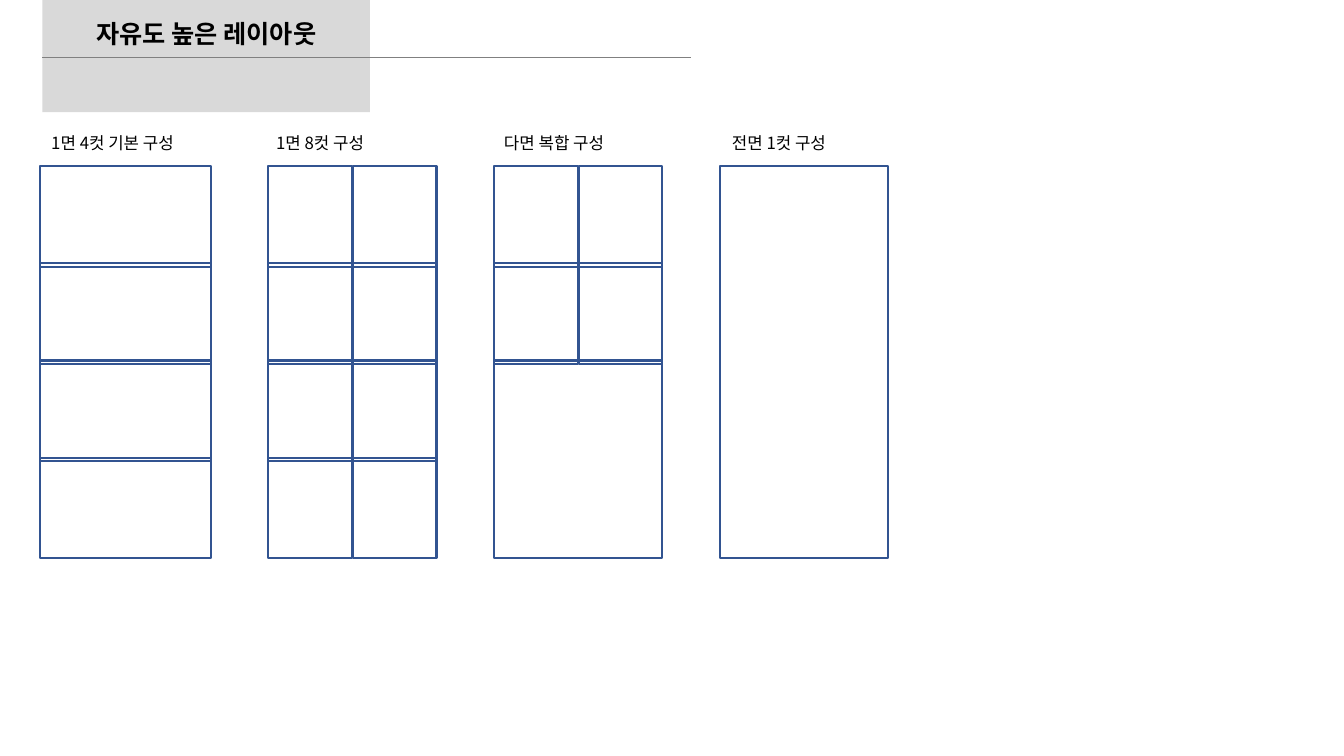
from dataclasses import dataclass

from lxml import etree
from pptx import Presentation
from pptx.dml.color import RGBColor
from pptx.enum.shapes import MSO_CONNECTOR, MSO_SHAPE
from pptx.enum.text import MSO_ANCHOR, MSO_AUTO_SIZE, PP_ALIGN
from pptx.oxml.ns import qn
from pptx.util import Inches, Pt

RECTANGLE = MSO_SHAPE.RECTANGLE
STRAIGHT = MSO_CONNECTOR.STRAIGHT
MIDDLE = MSO_ANCHOR.MIDDLE
GROW = MSO_AUTO_SIZE.SHAPE_TO_FIT_TEXT
CENTER, LEFT = PP_ALIGN.CENTER, PP_ALIGN.LEFT


@dataclass(frozen=True)
class Theme:
    font: str = "Noto Sans CJK KR"
    text: RGBColor = RGBColor(0x00, 0x00, 0x00)
    band: RGBColor = RGBColor(0xD9, 0xD9, 0xD9)
    rule: RGBColor = RGBColor(0x80, 0x80, 0x80)
    frame: RGBColor = RGBColor(0x32, 0x54, 0x91)
    title_size: int = 18
    label_size: int = 12
    rule_width: float = 0.5
    frame_width: float = 1.5


THEME = Theme()
TITLE = "자유도 높은 레이아웃"

# Panels are (column, row, columns spanned, rows spanned).
LAYOUTS = [
    {"label": "1면 4컷 기본 구성", "label_left": 0.41, "left": 0.4, "width": 1.69,
     "panels": [(0, row, 2, 1) for row in range(4)]},
    {"label": "1면 8컷 구성", "label_left": 2.64, "left": 2.66, "width": 1.67,
     "panels": [(column, row, 1, 1) for column in range(2) for row in range(4)]},
    {"label": "다면 복합 구성", "label_left": 4.9, "left": 4.9, "width": 1.67,
     "panels": [(0, 0, 1, 1), (0, 1, 1, 1), (0, 2, 2, 2), (1, 0, 1, 1), (1, 1, 1, 1)]},
    {"label": "전면 1컷 구성", "label_left": 7.16, "left": 7.14, "width": 1.67,
     "panels": [(0, 0, 2, 4)]},
]

LABEL_TOP, LABEL_WIDTH, LABEL_HEIGHT = 1.27, 1.69, 0.3
PAGE_TOP, PAGE_HEIGHT, ROWS = 1.65, 3.89, 4
PANEL_HEIGHT, COLUMN_GAP = 1, 0.01
ROW_PITCH = (PAGE_HEIGHT - PANEL_HEIGHT) / (ROWS - 1)


def write(shape, text, size, bold, alignment):
    frame = shape.text_frame
    frame.text = text
    frame.word_wrap = True
    frame.auto_size = GROW
    paragraph = frame.paragraphs[0]
    paragraph.alignment = alignment
    paragraph.line_spacing = 1.0
    font = paragraph.font
    font.size = Pt(size)
    font.bold = bold
    font.color.rgb = THEME.text
    font.name = THEME.font
    properties = paragraph._p.pPr.find(qn("a:defRPr"))
    etree.SubElement(properties, qn("a:ea")).set("typeface", THEME.font)


def add_heading(slide):
    title = slide.shapes.title
    title.left, title.top = Inches(0.42), Inches(0.13)
    title.width, title.height = Inches(3.25), Inches(0.4)
    title.fill.solid()
    title.fill.fore_color.rgb = THEME.band
    title.text_frame.vertical_anchor = MIDDLE
    write(title, TITLE, THEME.title_size, True, CENTER)

    rule = slide.shapes.add_connector(
        STRAIGHT, Inches(0.42), Inches(0.57), Inches(6.85), Inches(0.57))
    rule.line.color.rgb = THEME.rule
    rule.line.width = Pt(THEME.rule_width)
    etree.SubElement(rule._element.spPr, qn("a:effectLst"))


def add_panel(shapes, layout, panel):
    column, row, column_span, row_span = panel
    column_width = (layout["width"] - COLUMN_GAP) / 2
    column_pitch = column_width + COLUMN_GAP
    shape = shapes.add_shape(
        RECTANGLE,
        Inches(layout["left"] + column * column_pitch),
        Inches(PAGE_TOP + row * ROW_PITCH),
        Inches(column_width + (column_span - 1) * column_pitch),
        Inches(PANEL_HEIGHT + (row_span - 1) * ROW_PITCH))
    shape.shadow.inherit = False
    shape.fill.background()
    shape.line.color.rgb = THEME.frame
    shape.line.width = Pt(THEME.frame_width)


def add_layout(slide, layout):
    label = slide.shapes.add_textbox(
        Inches(layout["label_left"]), Inches(LABEL_TOP),
        Inches(LABEL_WIDTH), Inches(LABEL_HEIGHT))
    write(label, layout["label"], THEME.label_size, False, LEFT)
    panels = layout["panels"]
    shapes = slide.shapes.add_group_shape().shapes if len(panels) > 1 else slide.shapes
    for panel in panels:
        add_panel(shapes, layout, panel)


def main():
    presentation = Presentation()
    presentation.slide_width, presentation.slide_height = Inches(13.33), Inches(7.5)
    slide = presentation.slides.add_slide(presentation.slide_layouts.get_by_name("Title Only"))
    add_heading(slide)
    for layout in LAYOUTS:
        add_layout(slide, layout)
    presentation.save("out.pptx")


if __name__ == "__main__":
    main()
